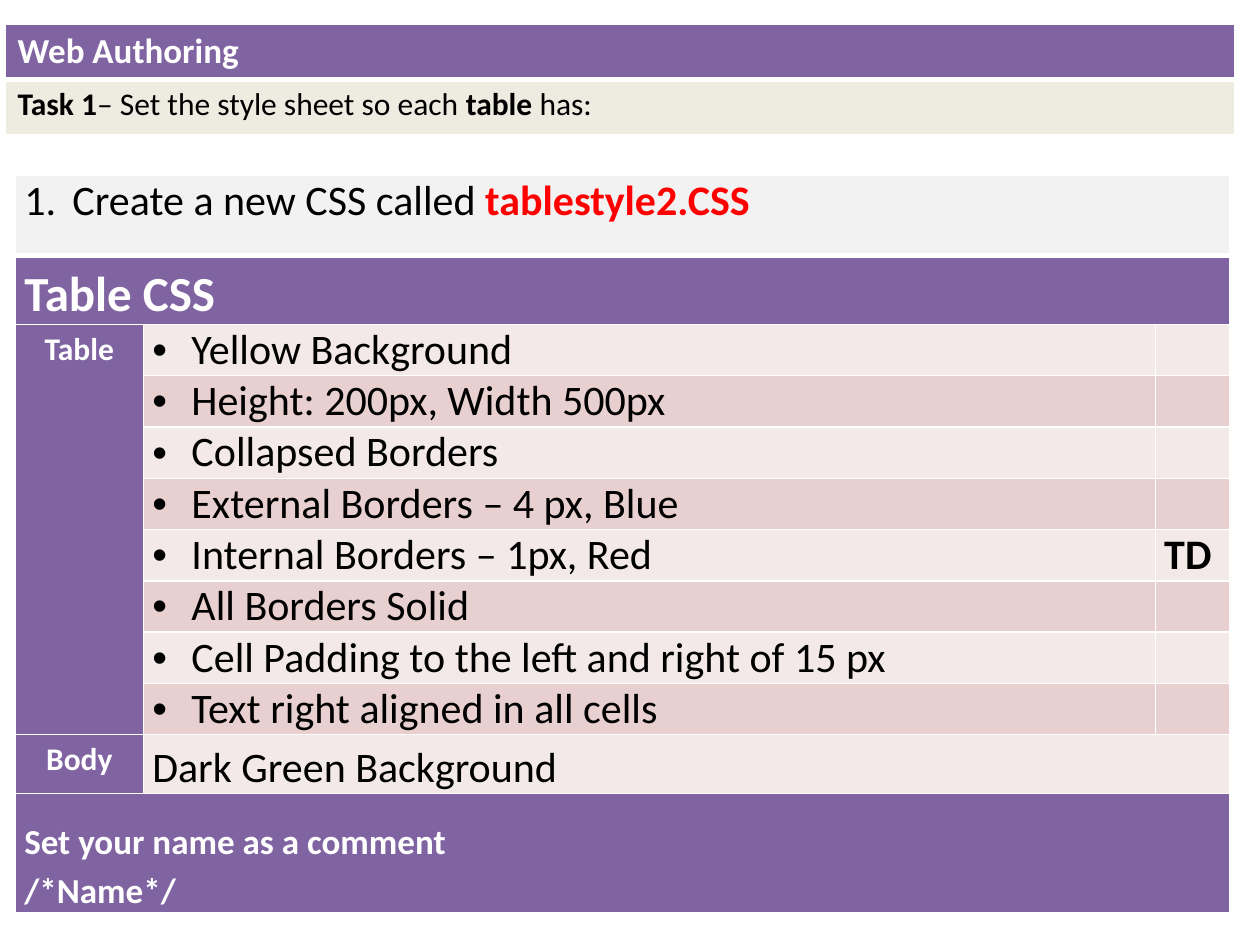
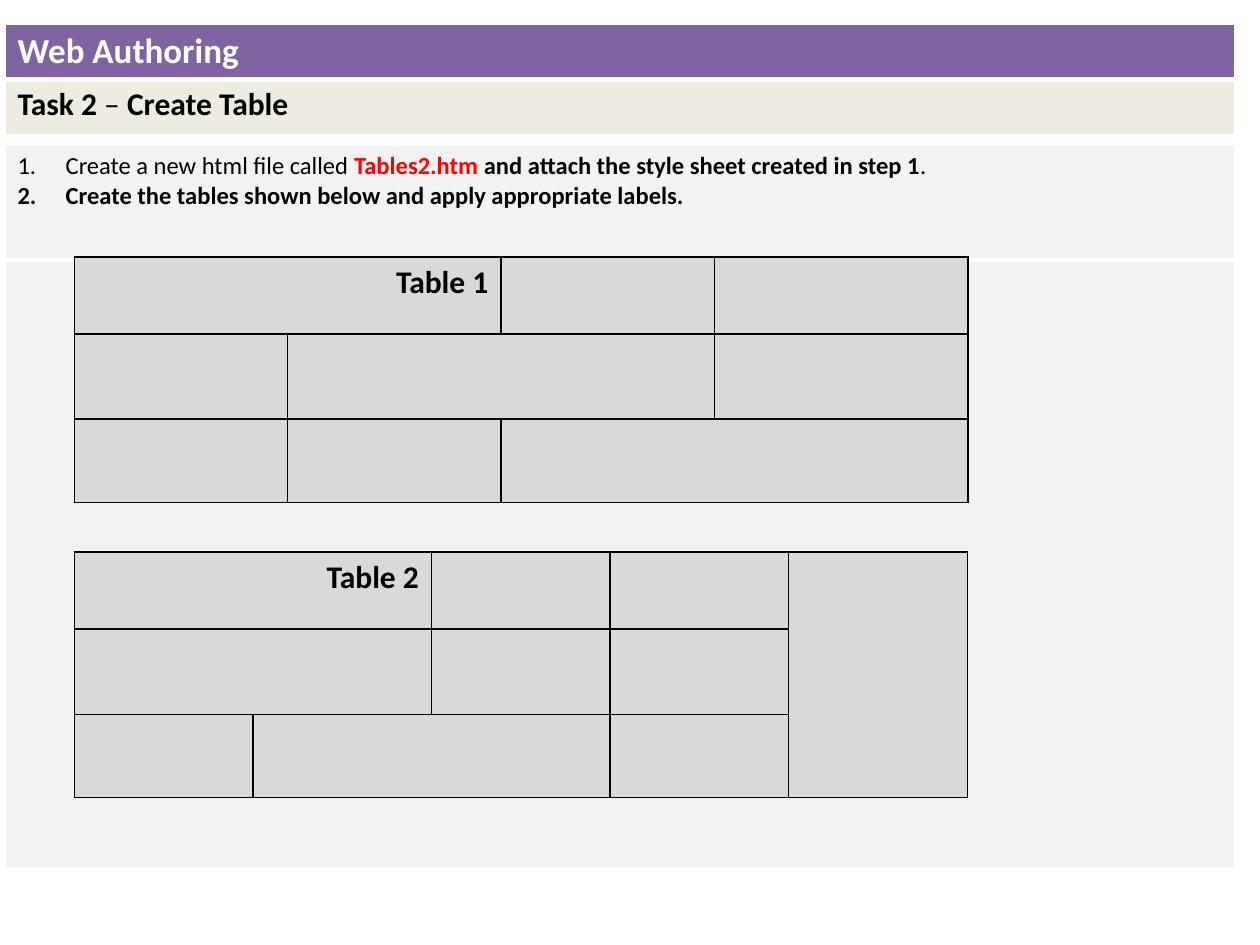
from dataclasses import dataclass

from lxml import etree
from pptx import Presentation
from pptx.dml.color import RGBColor
from pptx.enum.text import PP_ALIGN
from pptx.oxml.ns import qn
from pptx.util import Cm, Pt

LEFT, CENTER, RIGHT = PP_ALIGN.LEFT, PP_ALIGN.CENTER, PP_ALIGN.RIGHT
BLANK_LAYOUT = 6


@dataclass(frozen=True)
class Theme:
    font: str = "Calibri"
    purple: str = "8064A2"
    cream: str = "EEECE1"
    panel: str = "F2F2F2"
    pale_pink: str = "F4E9E9"
    pink: str = "E8D0D0"
    grey: str = "D9D9D9"
    white: str = "FFFFFF"
    black: str = "000000"
    red: str = "FF0000"
    heading: int = 28
    body: int = 24
    banner: int = 20
    label: int = 18
    note: int = 14


THEME = Theme()
BOLD = {"bold": True}
FILE_NAME = {"bold": True, "color": THEME.red}
WIDE_LEFT, WIDE_WIDTH = 0.1, 24.79
TIGHT = (0.18, 0, 0.18, 0)
NUMBERED = {"marker": "number", "indent": 0.97}
BULLETED = {"marker": "bullet", "indent": 0.79}


# Text and cells
def add_marker(para, marker, indent):
    properties = para._p.get_or_add_pPr()
    properties.set("marL", str(Cm(indent)))
    properties.set("indent", str(-Cm(indent)))
    if marker == "number":
        etree.SubElement(properties, qn("a:buAutoNum"), type="arabicPeriod")
    else:
        etree.SubElement(properties, qn("a:buFont"), typeface="Arial")
        etree.SubElement(properties, qn("a:buChar"), char="•")


def write_text(cell, paragraphs, size=THEME.label, color=THEME.black, bold=False,
               align=LEFT, line_spacing=None, marker=None, indent=0):
    """Write paragraphs, each a string or a list of (text, format) spans."""
    frame = cell.text_frame
    for number, content in enumerate(paragraphs):
        para = frame.add_paragraph() if number else frame.paragraphs[0]
        para.alignment = align
        if line_spacing:
            para.line_spacing = line_spacing
        if marker:
            add_marker(para, marker, indent)
        spans = [(content, {})] if isinstance(content, str) else content
        for text, changes in spans:
            span = para.add_run()
            span.text = text
            span.font.name = THEME.font
            span.font.size = Pt(size)
            span.font.bold = changes.get("bold", bold)
            span.font.color.rgb = RGBColor.from_string(changes.get("color", color))


def set_border(cell, side, color, width):
    line = etree.SubElement(cell._tc.get_or_add_tcPr(), qn(f"a:ln{side}"),
                            w=str(Pt(width)))
    fill = etree.SubElement(line, qn("a:solidFill"))
    etree.SubElement(fill, qn("a:srgbClr"), val=color)


def paint(cells, color):
    for cell in cells:
        cell.fill.solid()
        cell.fill.fore_color.rgb = RGBColor.from_string(color)


def add_grid(page, left, top, columns, rows, fill, border=THEME.white,
             insets=None, thick_rule=False):
    """Add a plain table; thick_rule widens the line below its first row."""
    frame = page.shapes.add_table(len(rows), len(columns), Cm(left), Cm(top),
                                  Cm(sum(columns)), Cm(sum(rows)))
    table = frame.table
    table.first_row = table.horz_banding = False
    for column, width in zip(table.columns, columns):
        column.width = Cm(width)
    for row, height in zip(table.rows, rows):
        row.height = Cm(height)
    for index, row in enumerate(table.rows):
        for cell in row.cells:
            for side in "LRTB":
                on_rule = (index, side) in ((0, "B"), (1, "T"))
                set_border(cell, side, border, 3 if thick_rule and on_rule else 1)
            if insets:
                (cell.margin_left, cell.margin_top,
                 cell.margin_right, cell.margin_bottom) = map(Cm, insets)
        paint(row.cells, fill)
    return table


def merge(table, row, column, height=1, width=1):
    cell = table.cell(row, column)
    cell.merge(table.cell(row + height - 1, column + width - 1))
    return cell


# Banner on every slide
def add_banner(page, task):
    table = add_grid(page, WIDE_LEFT, 0.48, [WIDE_WIDTH], [1.12, 1.12],
                     THEME.cream, thick_rule=True)
    paint([table.cell(0, 0)], THEME.purple)
    write_text(table.cell(0, 0), ["Web Authoring"], size=THEME.banner,
               color=THEME.white, bold=True)
    write_text(table.cell(1, 0), [task])


# Style sheet requirements
def add_style_table(page, left, top):
    rules = ["Yellow Background", "Height: 200px, Width 500px", "Collapsed Borders",
             "External Borders – 4 px, Blue", "Internal Borders – 1px, Red",
             "All Borders Solid", "Cell Padding to the left and right of 15 px",
             "Text right aligned in all cells"]
    first_rule = 2
    body_row = first_rule + len(rules)
    table = add_grid(page, left, top, [2.58, 20.4, 1.51],
                     [1.61, 1.39] + [1.03] * len(rules) + [1.19, 2.4],
                     THEME.purple, insets=TIGHT, thick_rule=True)
    on_purple = {"color": THEME.white, "bold": True, "line_spacing": 1.15}

    task = merge(table, 0, 0, width=3)
    paint([task], THEME.panel)
    write_text(task, [[("Create a new CSS called ", {}),
                       ("tablestyle2.CSS", FILE_NAME)]], size=THEME.body, **NUMBERED)
    write_text(merge(table, 1, 0, width=3), ["Table CSS"], size=THEME.heading,
               **on_purple)

    write_text(merge(table, first_rule, 0, height=len(rules)), ["Table"],
               align=CENTER, **on_purple)
    for row, rule in enumerate(rules, first_rule):
        rule_cell, tag_cell = table.cell(row, 1), table.cell(row, 2)
        paint([rule_cell, tag_cell], THEME.pink if row % 2 else THEME.pale_pink)
        write_text(rule_cell, [rule], size=THEME.body, **BULLETED)
        if rule.startswith("Internal"):
            write_text(tag_cell, ["TD"], size=THEME.body, bold=True)

    write_text(table.cell(body_row, 0), ["Body"], align=CENTER, **on_purple)
    body = merge(table, body_row, 1, width=2)
    paint([body], THEME.pale_pink)
    write_text(body, ["Dark Green Background"], size=THEME.body, line_spacing=1.15)

    comment = merge(table, body_row + 1, 0, width=3)
    comment.margin_top = Cm(0.42)
    write_text(comment, ["Set your name as a comment", "/*Name*/"],
               size=THEME.banner, **on_purple)


# Instructions with the panel behind the sample tables
def add_instructions(page, left, top):
    table = add_grid(page, left, top, [WIDE_WIDTH], [2.31, 12.25], THEME.panel,
                     thick_rule=True)
    write_text(table.cell(0, 0), [
        [("Create a new html file called ", {}),
         ("Tables2.htm", FILE_NAME),
         (" and attach the style sheet created in step 1", BOLD),
         (".", {})],
        [("Create the tables shown below and apply appropriate labels.", BOLD)],
    ], size=THEME.note, **NUMBERED)


# Sample table with merged cells, each given as (row, column, height, width)
def add_sample_table(page, left, top, columns, title, merged):
    table = add_grid(page, left, top, columns, [1.55, 1.72, 1.68], THEME.grey,
                     border=THEME.black)
    for area in merged:
        merge(table, *area)
    write_text(table.cell(0, 0), [title], bold=True, align=RIGHT)


def build_style_slide(page):
    add_banner(page, [("Task 1", BOLD), ("– Set the style sheet so each ", {}),
                      ("table", BOLD), (" has:", {})])
    add_style_table(page, 0.31, 3.54)


def build_tables_slide(page):
    add_banner(page, [("Task 2 ", BOLD), ("– ", {}), ("Create Table", BOLD)])
    add_instructions(page, WIDE_LEFT, 2.93)
    add_sample_table(page, 1.5, 5.18, [4.3] * 3 + [5.11], "Table 1",
                     [(0, 0, 1, 2), (1, 1, 1, 2), (2, 2, 1, 2)])
    add_sample_table(page, 1.5, 11.13, [3.6] * 5, "Table 2",
                     [(0, 0, 1, 2), (0, 4, 3, 1), (1, 0, 1, 2), (2, 1, 1, 2)])


def main():
    deck = Presentation()
    deck.slide_width, deck.slide_height = Cm(25.4), Cm(19.05)
    for build in (build_style_slide, build_tables_slide):
        build(deck.slides.add_slide(deck.slide_layouts[BLANK_LAYOUT]))
    deck.save("out.pptx")


if __name__ == "__main__":
    main()
